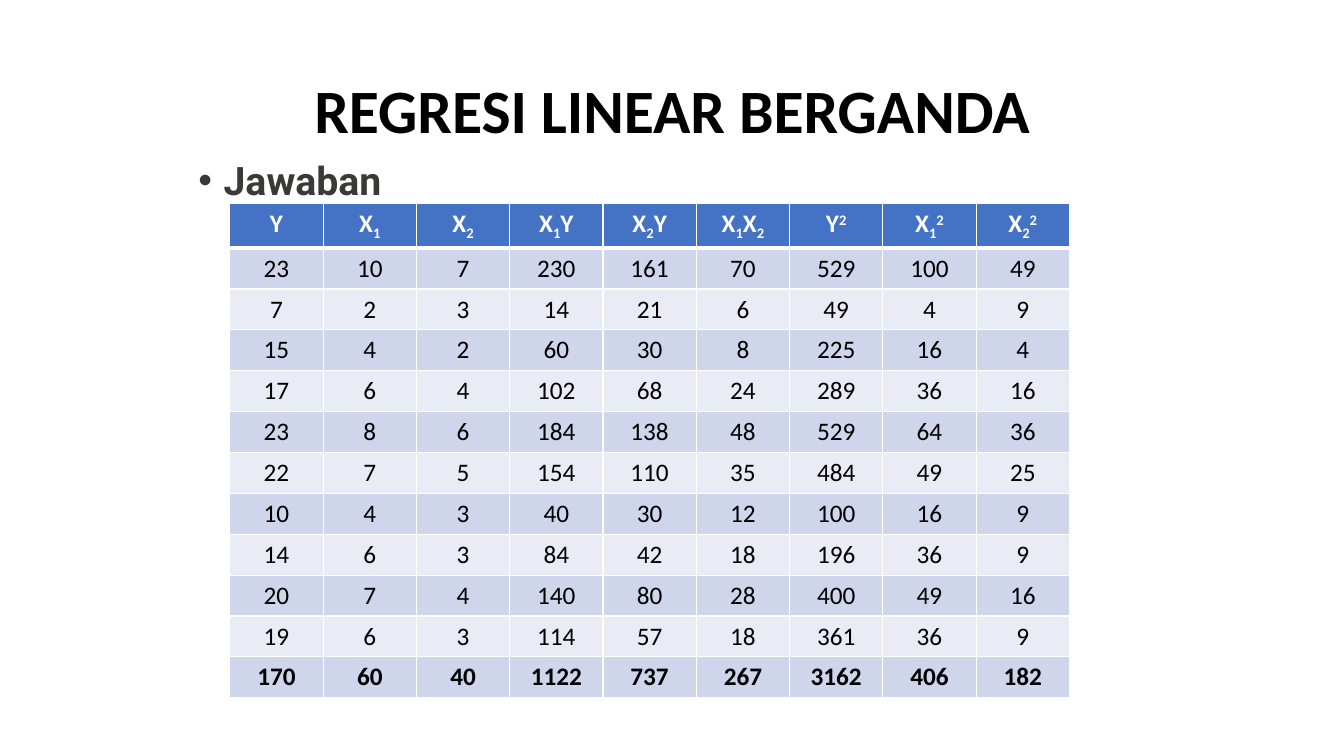
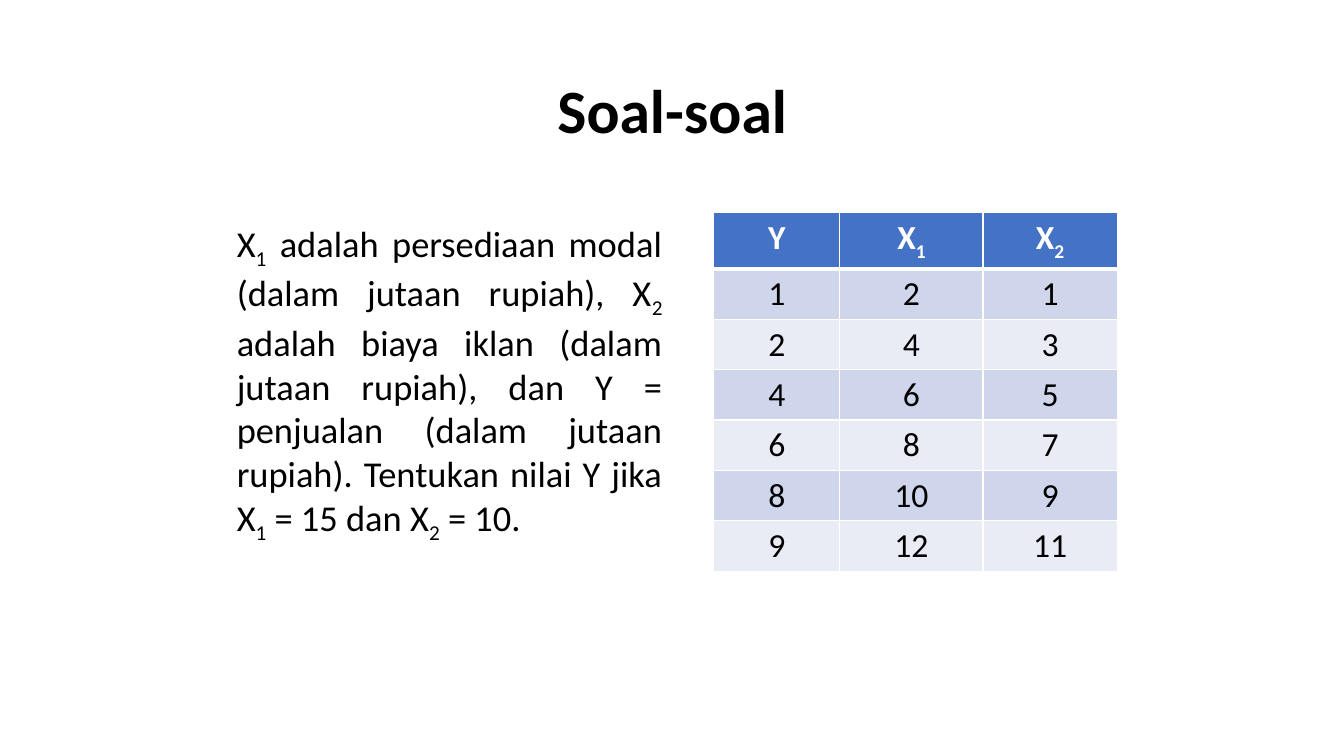
import pptx
import pptx.util
import pptx.dml.color
import pptx.enum.text
import pptx.oxml
import pptx.oxml.ns
import lxml.etree

Inches = pptx.util.Inches
Pt = pptx.util.Pt
ALIGN = pptx.enum.text.PP_ALIGN
ANCHOR = pptx.enum.text.MSO_ANCHOR

# Content: "_" lowers and "^" raises the character that follows
ANSWER_TITLE = "REGRESI LINEAR BERGANDA"
ANSWER_LABEL = "Jawaban"
ANSWER_HEADER = ["Y", "X_1", "X_2", "X_1Y", "X_2Y", "X_1X_2", "Y^2", "X_1^2", "X_2^2"]
OBSERVATIONS = [  # Y, X1, X2
    (23, 10, 7), (7, 2, 3), (15, 4, 2), (17, 6, 4), (23, 8, 6),
    (22, 7, 5), (10, 4, 3), (14, 6, 3), (20, 7, 4), (19, 6, 3),
]
EXERCISE_TITLE = "Soal-soal"
EXERCISE_TEXT = (
    "X_1 adalah persediaan modal (dalam jutaan rupiah), X_2 adalah biaya iklan "
    "(dalam jutaan rupiah), dan Y = penjualan (dalam jutaan rupiah). "
    "Tentukan nilai Y jika X_1 = 15 dan X_2 = 10."
)
EXERCISE_HEADER = ["Y", "X_1", "X_2"]
EXERCISE_ROWS = [(1, 2, 1), (2, 4, 3), (4, 6, 5), (6, 8, 7), (8, 10, 9), (9, 12, 11)]

# Shared look
BLACK, WHITE, GRAY = "000000", "FFFFFF", "3B3838"
HEADER_FILL = "4472C4"
BAND_FILLS = ["CFD5EA", "E9EBF5"]
BASELINES = {"_": "-25000", "^": "30000"}
TITLE_FORMAT = {"size": Pt(44), "name": "Calibri", "bold": True}
LABEL_FORMAT = {"size": Pt(28), "name": "Roboto", "bold": True}
BODY_FORMAT = {"size": Pt(26), "name": "Calibri", "bold": False}


def rgb(value):
    return pptx.dml.color.RGBColor.from_string(value)


def split_marks(text):
    """Split marked text into (text, baseline) pieces."""
    pieces, plain, position = [], "", 0
    while position < len(text):
        if text[position] in BASELINES:
            pieces += [(plain, None)] if plain else []
            pieces.append((text[position + 1], BASELINES[text[position]]))
            plain, position = "", position + 2
        else:
            plain, position = plain + text[position], position + 1
    return pieces + ([(plain, None)] if plain else [])


def write_paragraph(paragraph, text, formats, color, alignment):
    paragraph.alignment = alignment
    for piece, baseline in split_marks(text):
        run = paragraph.add_run()
        run.text = piece
        for name, value in formats.items():
            setattr(run.font, name, value)
        run.font.color.rgb = rgb(color)
        if baseline:
            run._r.get_or_add_rPr().set("baseline", baseline)


def add_text(slide, box, text, formats, color=BLACK, alignment=ALIGN.LEFT, anchor=ANCHOR.TOP):
    frame = slide.shapes.add_textbox(*map(Inches, box)).text_frame
    frame.word_wrap = True
    frame.vertical_anchor = anchor
    paragraph = frame.paragraphs[0]
    write_paragraph(paragraph, text, formats, color, alignment)
    return paragraph


def add_bullet(paragraph, indent):
    properties = paragraph._p.get_or_add_pPr()
    properties.set("marL", str(Inches(indent)))
    properties.set("indent", str(-Inches(indent)))
    for tag, name, value in (("a:buFont", "typeface", "Arial"), ("a:buChar", "char", "•")):
        element = lxml.etree.SubElement(properties, pptx.oxml.ns.qn(tag))
        element.set(name, value)


def add_titled_slide(presentation, title):
    slide = presentation.slides.add_slide(presentation.slide_layouts[6])
    paragraph = add_text(slide, (0.92, 0.4, 11.5, 1.45), title, TITLE_FORMAT,
                         alignment=ALIGN.CENTER, anchor=ANCHOR.MIDDLE)
    paragraph.line_spacing = 0.9
    return slide


def set_borders(cell, widths):
    properties = cell._tc.get_or_add_tcPr()
    for side, width in widths.items():
        properties.append(pptx.oxml.parse_xml(
            f'<a:ln{side} {pptx.oxml.ns.nsdecls("a")} w="{Pt(width)}"><a:solidFill>'
            f'<a:srgbClr val="{WHITE}"/></a:solidFill></a:ln{side}>'))


def add_data_table(slide, left, top, widths, row_height, rows, size, bold_last=False):
    frame = slide.shapes.add_table(
        len(rows), len(widths), Inches(left), Inches(top),
        Inches(sum(widths)), Inches(row_height * len(rows)))
    table = frame.table
    for column, width in zip(table.columns, widths):
        column.width = Inches(width)
    for row_index, values in enumerate(rows):
        table.rows[row_index].height = Inches(row_height)
        header = row_index == 0
        bold = header or (bold_last and row_index == len(rows) - 1)
        fill = HEADER_FILL if header else BAND_FILLS[(row_index - 1) % 2]
        borders = {"L": 1, "R": 1, "T": 3 if row_index == 1 else 1, "B": 3 if header else 1}
        for column_index, value in enumerate(values):
            cell = table.cell(row_index, column_index)
            set_borders(cell, borders)
            cell.fill.solid()
            cell.fill.fore_color.rgb = rgb(fill)
            write_paragraph(cell.text_frame.paragraphs[0], str(value),
                            {"size": Pt(size), "name": "Calibri", "bold": bold},
                            WHITE if header else BLACK, ALIGN.CENTER)


def build_answer(presentation):
    slide = add_titled_slide(presentation, ANSWER_TITLE)
    label = add_text(slide, (1.87, 1.55, 9, 4.8), ANSWER_LABEL, LABEL_FORMAT, GRAY)
    add_bullet(label, 0.25)
    label.line_spacing = 0.9
    # Products and squares of each observation, then the column totals
    rows = [(y, x1, x2, x1 * y, x2 * y, x1 * x2, y ** 2, x1 ** 2, x2 ** 2)
            for y, x1, x2 in OBSERVATIONS]
    totals = [sum(column) for column in zip(*rows)]
    widths = [8.33 / len(ANSWER_HEADER)] * len(ANSWER_HEADER)
    add_data_table(slide, 2.28, 2.02, widths, 4.87 / 12,
                   [ANSWER_HEADER, *rows, totals], 18, bold_last=True)


def build_exercise(presentation):
    slide = add_titled_slide(presentation, EXERCISE_TITLE)
    add_text(slide, (2.25, 2.14, 4.42, 3.63), EXERCISE_TEXT, BODY_FORMAT,
             alignment=ALIGN.JUSTIFY)
    add_data_table(slide, 7.08, 2.11, [1.25, 1.42, 1.33], 0.5,
                   [EXERCISE_HEADER, *EXERCISE_ROWS], 24)


def main():
    presentation = pptx.Presentation()
    presentation.slide_width = Inches(13.33)
    presentation.slide_height = Inches(7.5)
    build_answer(presentation)
    build_exercise(presentation)
    presentation.save("out.pptx")


if __name__ == "__main__":
    main()
